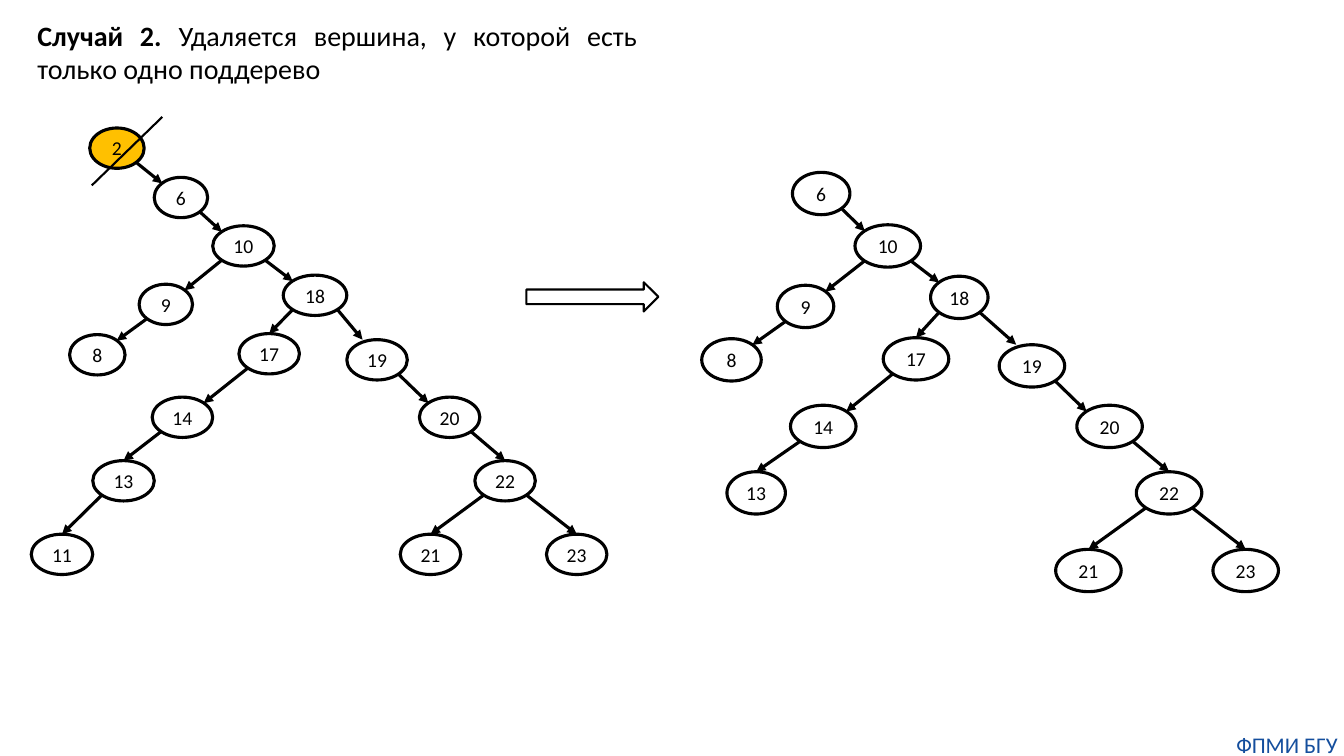
from lxml import etree
from pptx import Presentation
from pptx import util as u
from pptx.dml import color
from pptx.enum import shapes, text
from pptx.oxml import ns

# The slide is a grid of square cells: 1333 columns by 750 rows.
COLUMNS, ROWS = 1333, 750
CELL = u.Inches(0.01)
FONT, BLACK, BLUE, AMBER = "Calibri", "000000", "144E9D", "FFC000"

# Shares of a node's width and height where edges meet its outline.
NEAR, FAR = 0.15, 0.85
TOP, TOP_LEFT, TOP_RIGHT = (0.5, 0), (NEAR, NEAR), (FAR, NEAR)
UPPER_LEFT = (0.26, 0)
LEFT_CHILD, RIGHT_CHILD = (NEAR, FAR), (FAR, FAR)

# Parent, child, where the edge leaves the parent, where it meets the child.
EDGES = [
    (2, 6, RIGHT_CHILD, TOP_LEFT),
    (6, 10, RIGHT_CHILD, TOP_LEFT),
    (10, 9, LEFT_CHILD, TOP_RIGHT),
    (10, 18, RIGHT_CHILD, TOP_LEFT),
    (9, 8, LEFT_CHILD, TOP_RIGHT),
    (18, 17, LEFT_CHILD, TOP),
    (18, 19, RIGHT_CHILD, UPPER_LEFT),
    (17, 14, LEFT_CHILD, TOP_RIGHT),
    (14, 13, LEFT_CHILD, TOP),
    (13, 11, LEFT_CHILD, TOP),
    (19, 20, RIGHT_CHILD, TOP_LEFT),
    (20, 22, RIGHT_CHILD, TOP),
    (22, 21, LEFT_CHILD, TOP),
    (22, 23, RIGHT_CHILD, TOP),
]

# Key: (column, row, width) inside the tree's box, in cells.
TREE_BEFORE = {
    2: (58, 0, 54), 6: (122, 49, 53), 10: (180, 97, 61), 18: (250, 146, 63),
    9: (107, 155, 53), 8: (38, 205, 55), 17: (206, 204, 60), 19: (313, 210, 60),
    14: (120, 267, 60), 20: (385, 267, 60), 13: (61, 330, 61), 22: (440, 330, 60),
    11: (0, 403, 61), 21: (366, 403, 60), 23: (511, 403, 60),
}
TREE_AFTER = {
    6: (90, 0, 57), 10: (152, 52, 65), 18: (227, 103, 57), 9: (75, 112, 56),
    8: (0, 165, 59), 17: (180, 164, 65), 19: (295, 171, 65), 14: (88, 231, 65),
    20: (372, 231, 65), 13: (25, 297, 58), 22: (431, 297, 65),
    21: (351, 374, 65), 23: (507, 374, 65),
}


def rgb(hex_string):
    return color.RGBColor.from_string(hex_string)


def cells(*lengths):
    return [round(length * CELL) for length in lengths]


def set_all(target, values):
    for name, value in values.items():
        setattr(target, name, value)


def add_run(paragraph, words, size, hex_color=BLACK, bold=False):
    run = paragraph.add_run()
    run.text = words
    set_all(run.font, {"name": FONT, "size": u.Pt(size), "bold": bold})
    run.font.color.rgb = rgb(hex_color)


def remove_insets(frame):
    set_all(frame, {f"margin_{side}": 0 for side in ("left", "top", "right", "bottom")})


def add_outlined(container, kind, box, width, fill=None):
    shape = container.add_shape(kind, *cells(*box))
    shape.shadow.inherit = False
    if fill:
        shape.fill.solid()
        shape.fill.fore_color.rgb = rgb(fill)
    else:
        shape.fill.background()
    shape.line.color.rgb = rgb(BLACK)
    shape.line.width = u.Pt(width)
    return shape


def add_line(container, start, end, width, arrow=False):
    """Draw a straight line between two points given in EMU."""
    line = container.add_connector(shapes.MSO_CONNECTOR.STRAIGHT, *start, *end)
    line.line.color.rgb = rgb(BLACK)
    line.line.width = u.Pt(width)
    properties = line._element.spPr
    if arrow:
        etree.SubElement(line.line._get_or_add_ln(), ns.qn("a:tailEnd"), type="triangle")
    etree.SubElement(properties, ns.qn("a:effectLst"))
    return line


def add_node(container, key, box, fill):
    node = add_outlined(container, shapes.MSO_SHAPE.OVAL, box, 2.25, fill)
    frame = node.text_frame
    remove_insets(frame)
    set_all(frame, {"word_wrap": False, "vertical_anchor": text.MSO_ANCHOR.MIDDLE})
    paragraph = frame.paragraphs[0]
    paragraph.alignment = text.PP_ALIGN.CENTER
    add_run(paragraph, str(key), 14)
    return node


def point_on(node, share):
    return (round(node.left + share[0] * node.width),
            round(node.top + share[1] * node.height))


def add_tree(slide, box, layout, node_height, deleted=None):
    """Draw the nodes from the box's corner, then every edge between them."""
    left, top = box
    group = slide.shapes.add_group_shape()
    nodes = {
        key: add_node(group.shapes, key, (left + column, top + row, width, node_height),
                      AMBER if key == deleted else None)
        for key, (column, row, width) in layout.items()
    }
    for parent, child, leave, meet in EDGES:
        if parent in nodes and child in nodes:
            edge = add_line(group.shapes, point_on(nodes[parent], leave),
                            point_on(nodes[child], meet), 2.25, arrow=True)
            if meet == TOP:
                edge.end_connect(nodes[child], 0)


def add_heading(slide, box):
    title = slide.shapes.title
    set_all(title, dict(zip(("left", "top", "width", "height"), cells(*box))))
    frame = title.text_frame
    set_all(frame, {"word_wrap": True, "vertical_anchor": text.MSO_ANCHOR.TOP,
                    "auto_size": text.MSO_AUTO_SIZE.SHAPE_TO_FIT_TEXT})
    paragraph = frame.paragraphs[0]
    paragraph.alignment = text.PP_ALIGN.JUSTIFY
    add_run(paragraph, "Случай 2.", 20, bold=True)
    add_run(paragraph, " Удаляется вершина, у которой есть только одно поддерево", 20)


def add_department(slide, box):
    frame = slide.shapes.add_textbox(*cells(*box)).text_frame
    remove_insets(frame)
    set_all(frame, {"word_wrap": True, "auto_size": text.MSO_AUTO_SIZE.SHAPE_TO_FIT_TEXT})
    paragraph = frame.paragraphs[0]
    paragraph.alignment = text.PP_ALIGN.CENTER
    add_run(paragraph, "ФПМИ БГУ", 16, BLUE)


def add_strike(slide, box):
    """Cross the box out from its top right to its bottom left corner."""
    left, top, width, height = box
    add_line(slide.shapes, cells(left + width, top), cells(left, top + height), 1.5)


def main():
    presentation = Presentation()
    presentation.slide_width, presentation.slide_height = cells(COLUMNS, ROWS)
    slide = presentation.slides.add_slide(presentation.slide_layouts.get_by_name("Title Only"))
    add_heading(slide, (27, 13, 615, 77))
    add_tree(slide, (31, 127), TREE_BEFORE, 40, deleted=2)
    add_tree(slide, (696, 171), TREE_AFTER, 42)
    add_outlined(slide.shapes, shapes.MSO_SHAPE.RIGHT_ARROW, (522, 280, 131, 29), 1.5)
    add_strike(slide, (91, 116, 70, 68))
    add_department(slide, (1220, 725, 113, 27))
    presentation.save("out.pptx")


if __name__ == "__main__":
    main()
